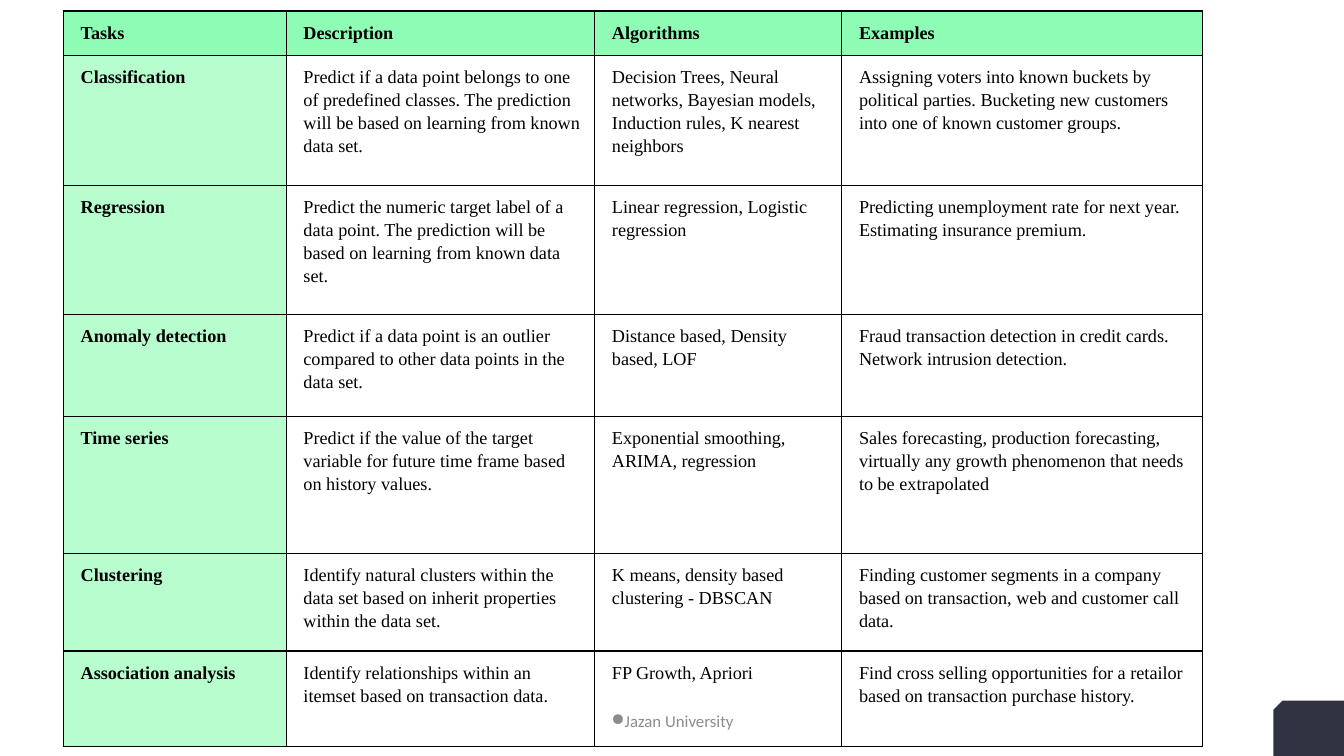
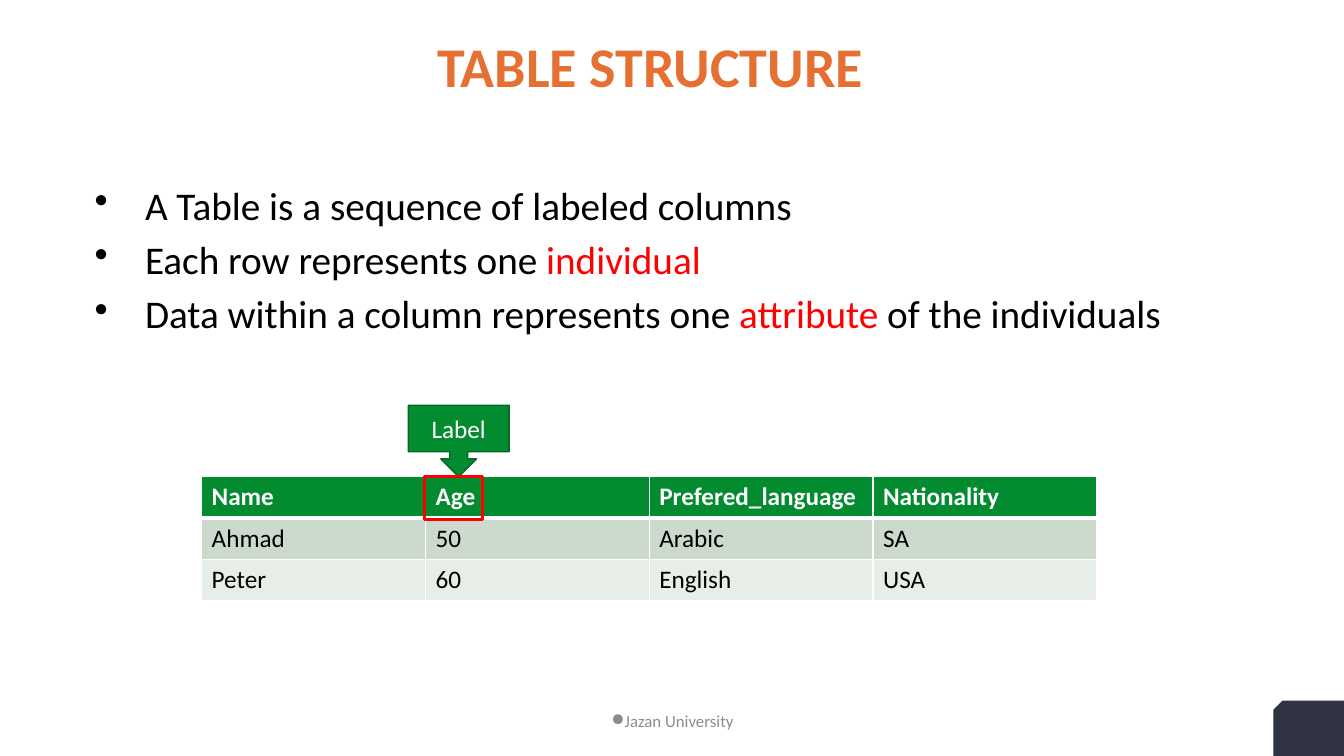
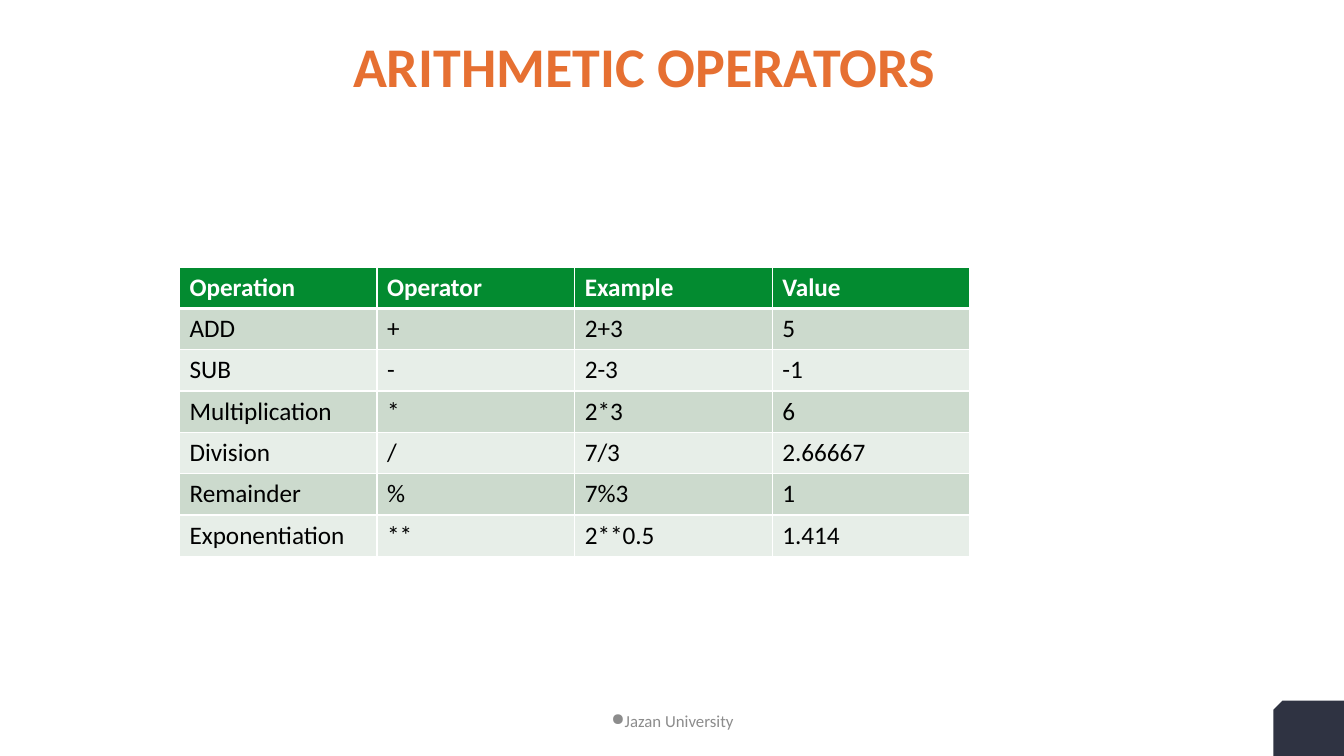
from lxml import etree
from pptx import Presentation
from pptx.dml.color import RGBColor
from pptx.enum.shapes import MSO_SHAPE
from pptx.enum.text import MSO_ANCHOR, PP_ALIGN
from pptx.oxml.ns import qn
from pptx.util import Inches, Pt

SNIP = MSO_SHAPE.SNIP_1_RECTANGLE
CALLOUT = MSO_SHAPE.DOWN_ARROW_CALLOUT
RECT = MSO_SHAPE.RECTANGLE
LEFT, CENTER = PP_ALIGN.LEFT, PP_ALIGN.CENTER
TOP, MIDDLE = MSO_ANCHOR.TOP, MSO_ANCHOR.MIDDLE
SANS, SERIF = "Calibri", "Times New Roman"
TITLE_ONLY, BLANK = 5, 6

HUES = {
    "black": "000000", "white": "FFFFFF", "red": "FF0000", "gray": "8C8C8C",
    "navy": "2F3342", "orange": "E67032", "mint": "8EFCB4", "pale": "B7FDCE",
    "green": "038B30", "edge": "026724", "sage": "CCDACD", "mist": "E7EEE8",
}

TASKS = [
    ["Tasks", "Description", "Algorithms", "Examples"],
    ["Classification",
     "Predict if a data point belongs to one of predefined classes. "
     "The prediction will be based on learning from known data set.",
     "Decision Trees, Neural networks, Bayesian models, Induction rules, K nearest neighbors",
     "Assigning voters into known buckets by political parties. "
     "Bucketing new customers into one of known customer groups."],
    ["Regression",
     "Predict the numeric target label of a data point. "
     "The prediction will be based on learning from known data set.",
     "Linear regression, Logistic regression",
     "Predicting unemployment rate for next year. Estimating insurance premium."],
    ["Anomaly detection",
     "Predict if a data point is an outlier compared to other data points in the data set.",
     "Distance based, Density based, LOF",
     "Fraud transaction detection in credit cards. Network intrusion detection."],
    ["Time series",
     "Predict if the value of the target variable for future time frame based on history values.",
     "Exponential smoothing, ARIMA, regression",
     "Sales forecasting, production forecasting, "
     "virtually any growth phenomenon that needs to be extrapolated"],
    ["Clustering",
     "Identify natural clusters within the data set "
     "based on inherit properties within the data set.",
     "K means, density based clustering - DBSCAN",
     "Finding customer segments in a company based on transaction, web and customer call data."],
    ["Association analysis",
     "Identify relationships within an itemset based on transaction data.",
     "FP Growth, Apriori",
     "Find cross selling opportunities for a retailor based on transaction purchase history."],
]

PEOPLE = [
    ["Name", "Age", "Prefered_language", "Nationality"],
    ["Ahmad", "50", "Arabic", "SA"],
    ["Peter", "60", "English", "USA"],
]

MATH = [
    ["Operation", "Operator", "Example", "Value"],
    ["ADD", "+", "2+3", "5"],
    ["SUB", "-", "2-3", "-1"],
    ["Multiplication", "*", "2*3", "6"],
    ["Division", "/", "7/3", "2.66667"],
    ["Remainder", "%", "7%3", "1"],
    ["Exponentiation", "**", "2**0.5", "1.414"],
]

POINTS = [
    [("A Table is a sequence of labeled columns", "black")],
    [("Each row represents one ", "black"), ("individual", "red")],
    [("Data within a column represents one ", "black"), ("attribute", "red"),
     (" of the individuals", "black")],
]


def rgb(hue):
    return RGBColor.from_string(HUES[hue])


def inset(box, wide, high):
    box.margin_left = box.margin_right = Inches(wide)
    box.margin_top = box.margin_bottom = Inches(high)


def write(frame, text, size=18, hue="black", font=SANS, bold=False, align=LEFT,
          space=None, gap=0, bullet=None, indent=(0, 0)):
    paras = [[(text, hue)]] if isinstance(text, str) else text
    for i, runs in enumerate(paras):
        para = frame.add_paragraph() if i else frame.paragraphs[0]
        props = para._p.get_or_add_pPr()
        props.set("marL", str(Inches(indent[0])))
        props.set("indent", str(Inches(indent[1])))
        if bullet:
            etree.SubElement(props, qn("a:buChar")).set("char", bullet)
        para.alignment = align
        if space:
            para.line_spacing = space
        if i and gap:
            para.space_before = Pt(gap)
        for words, tone in runs:
            run = para.add_run()
            run.text = words
            run.font.name = font
            run.font.size = Pt(size)
            run.font.bold = bold
            run.font.color.rgb = rgb(tone)


def label(slide, at, text, anchor=TOP, **form):
    frame = slide.shapes.add_textbox(*map(Inches, at)).text_frame
    frame.word_wrap = True
    frame.vertical_anchor = anchor
    inset(frame, 0.1, 0.1)
    write(frame, text, **form)


def shape(slide, kind, at, fill=None, line=None, width=1):
    item = slide.shapes.add_shape(kind, *map(Inches, at))
    item.shadow.inherit = False
    if fill:
        item.fill.solid()
        item.fill.fore_color.rgb = rgb(fill)
    else:
        item.fill.background()
    if line:
        item.line.color.rgb = rgb(line)
        item.line.width = Pt(width)
    else:
        item.line.fill.background()
    return item


def border(cell, hue, **widths):
    props = cell._tc.get_or_add_tcPr()
    for side in "LRTB":
        line = etree.SubElement(props, qn("a:ln" + side))
        line.set("w", str(Pt(widths.get(side, 1))))
        fill = etree.SubElement(line, qn("a:solidFill"))
        etree.SubElement(fill, qn("a:srgbClr")).set("val", HUES[hue])


def paint(cell, hue):
    if hue:
        cell.fill.solid()
        cell.fill.fore_color.rgb = rgb(hue)
    else:
        cell.fill.background()


def grid(slide, spot, cols, rows, data, style):
    size = (sum(cols), sum(rows))
    table = slide.shapes.add_table(len(rows), len(cols), *map(Inches, spot + size)).table
    table.first_row = table.horz_banding = False
    for col, wide in zip(table.columns, cols):
        col.width = Inches(wide)
    for r, high in enumerate(rows):
        table.rows[r].height = Inches(high)
        for c, text in enumerate(data[r]):
            style(table.cell(r, c), r, c, text)


def task_cell(cell, r, c, text):
    border(cell, "black")
    paint(cell, "mint" if r == 0 else "pale" if c == 0 else None)
    inset(cell, 0.1, 0.09)
    write(cell.text_frame, text, size=13, font=SERIF, bold=r == 0 or c == 0,
          space=1.15, indent=(0.07, 0))


def band_cell(cell, r, c, text):
    head = r == 0
    border(cell, "white", T=3 if r == 1 else 1, B=3 if head else 1)
    paint(cell, "green" if head else "sage" if r % 2 else "mist")
    write(cell.text_frame, text, hue="white" if head else "black", bold=head)


def start(deck, title=None):
    slide = deck.slides.add_slide(deck.slide_layouts[TITLE_ONLY if title else BLANK])
    corner = shape(slide, SNIP, (12.63, 6.95, 0.7, 0.55), "navy")
    corner.element.spPr.xfrm.set("flipH", "1")
    if title:
        head = slide.shapes.title
        head.left, head.top, head.width, head.height = map(Inches, (0.45, 0.25, 12, 0.87))
        frame = head.text_frame
        frame.vertical_anchor = MIDDLE
        inset(frame, 0.1, 0.1)
        write(frame, title, size=40, hue="orange", bold=True, align=CENTER, space=0.9)
    return slide


def foot(slide):
    label(slide, (4.56, 6.95, 4.22, 0.4), "Jazan University", anchor=MIDDLE,
          size=12, hue="gray", align=CENTER, bullet="●", indent=(0, -0.13))


def tasks(deck):
    slide = start(deck)
    grid(slide, (0.63, 0.11), (2.21, 3.06, 2.45, 3.58),
         (0.44, 1.29, 1.28, 1.01, 1.36, 0.97, 0.95), TASKS, task_cell)
    foot(slide)


def people(deck):
    slide = start(deck, "TABLE STRUCTURE")
    label(slide, (0.67, 1.75, 12, 4.95), POINTS, size=28, space=0.9, gap=8.5,
          bullet="•", indent=(0.67, -0.5))
    foot(slide)
    grid(slide, (2, 4.73), (2.22,) * 4, (0.41,) * len(PEOPLE), PEOPLE, band_cell)
    tag = shape(slide, CALLOUT, (4.05, 4.02, 1, 0.71), "green", "edge")
    tag.text_frame.vertical_anchor = MIDDLE
    write(tag.text_frame, "Label", hue="white", align=CENTER)
    shape(slide, RECT, (4.21, 4.73, 0.58, 0.42), line="red", width=2.25)


def operators(deck):
    slide = start(deck, "ARITHMETIC OPERATORS ")
    foot(slide)
    grid(slide, (1.78, 2.65), (1.96,) * 4, (0.41,) * len(MATH), MATH, band_cell)


def main():
    deck = Presentation()
    deck.slide_width, deck.slide_height = Inches(13.33), Inches(7.5)
    tasks(deck)
    people(deck)
    operators(deck)
    deck.save("out.pptx")


if __name__ == "__main__":
    main()
